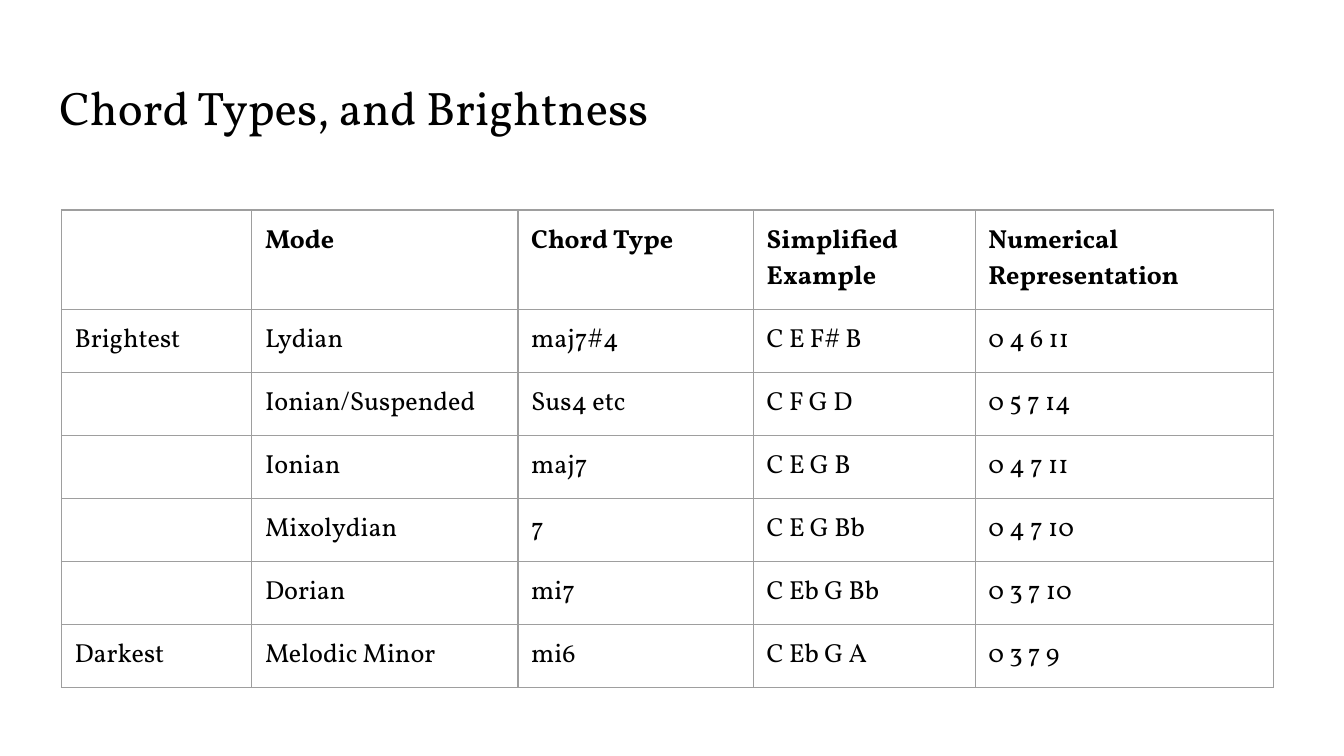
from dataclasses import dataclass

from lxml import etree
from pptx import Presentation
from pptx.dml.color import RGBColor
from pptx.enum import text as txt
from pptx.oxml import ns
from pptx.text.text import Font
from pptx.util import Cm, Pt


@dataclass(frozen=True)
class Theme:
    """Colours, font and sizes of the deck."""
    font: str = "Vollkorn"
    ink: str = "000000"
    grid: str = "9E9E9E"
    title_size: float = 25.2
    cell_size: float = 14
    grid_width: float = 0.75
    inset: float = 0.25


THEME = Theme()
HEADINGS = ["", "Mode", "Chord Type", "Simplified Example", "Numerical Representation"]
CHORDS = [
    ["Brightest", "Lydian", "maj7#4", "C E F# B", "0 4 6 11"],
    ["", "Ionian/Suspended", "Sus4 etc", "C F G D", "0 5 7 14"],
    ["", "Ionian", "maj7", "C E G B", "0 4 7 11"],
    ["", "Mixolydian", "7", "C E G Bb", "0 4 7 10"],
    ["", "Dorian", "mi7", "C Eb G Bb", "0 3 7 10"],
    ["Darkest", "Melodic Minor", "mi6", "C Eb G A", "0 3 7 9"],
]
COLUMN_WIDTHS = [3.6, 5.03, 4.45, 4.19, 5.64]
HEADER_HEIGHT, ROW_HEIGHT = 1.7, 1.09


def write(frame, wording, *, size, bold=False, color=THEME.ink):
    """Put formatted left-aligned wording in a text frame, sizing it even when empty."""
    paragraph = frame.paragraphs[0]
    paragraph.alignment = txt.PP_ALIGN.LEFT
    if wording:
        run = paragraph.add_run()
        run.text = wording
        font = run.font
    else:
        font = Font(paragraph._p.get_or_add_endParaRPr())
    font.name, font.size, font.bold = THEME.font, Pt(size), bold
    font.color.rgb = RGBColor.from_string(color)


def set_insets(holder):
    """Give a cell or text frame the same inset on every side."""
    holder.margin_left = holder.margin_right = Cm(THEME.inset)
    holder.margin_top = holder.margin_bottom = Cm(THEME.inset)


def outline_cell(cell):
    """Draw the grid line on all four sides of a cell."""
    properties = cell._tc.get_or_add_tcPr()
    for position, side in enumerate(("lnL", "lnR", "lnT", "lnB")):
        line = etree.Element(ns.qn(f"a:{side}"), w=str(Pt(THEME.grid_width)))
        fill = etree.SubElement(line, ns.qn("a:solidFill"))
        etree.SubElement(fill, ns.qn("a:srgbClr"), val=THEME.grid)
        properties.insert(position, line)


def place_title(slide, left, top, width, height):
    """Move the title placeholder to its box and fill it."""
    title = slide.shapes.title
    title.left, title.top, title.width, title.height = map(Cm, (left, top, width, height))
    frame = title.text_frame
    frame.word_wrap = True
    frame.auto_size = txt.MSO_AUTO_SIZE.NONE
    frame.vertical_anchor = txt.MSO_ANCHOR.TOP
    set_insets(frame)
    write(frame, "Chord Types, and Brightness", size=THEME.title_size)


def place_chord_table(slide, left, top, width, height):
    """Build the chord table, sharing the box by the column and row proportions."""
    rows = [HEADINGS, *CHORDS]
    table = slide.shapes.add_table(
        len(rows), len(HEADINGS), Cm(left), Cm(top), Cm(width), Cm(height)).table
    table.horz_banding = False
    for column, share in zip(table.columns, COLUMN_WIDTHS):
        column.width = Cm(width * share / sum(COLUMN_WIDTHS))
    row_heights = [HEADER_HEIGHT] + [ROW_HEIGHT] * len(CHORDS)
    for row, share in zip(table.rows, row_heights):
        row.height = Cm(height * share / sum(row_heights))
    for row_index, entries in enumerate(rows):
        for column_index, entry in enumerate(entries):
            cell = table.cell(row_index, column_index)
            cell.fill.background()
            set_insets(cell)
            outline_cell(cell)
            write(cell.text_frame, entry, size=THEME.cell_size, bold=row_index == 0)


def main():
    """Build and save the one-slide deck."""
    deck = Presentation()
    deck.slide_width, deck.slide_height = Cm(25.4), Cm(14.29)
    slide = deck.slides.add_slide(deck.slide_layouts[5])
    place_title(slide, 0.87, 1.24, 23.67, 1.6)
    place_chord_table(slide, 1.16, 3.97, sum(COLUMN_WIDTHS),
                      HEADER_HEIGHT + ROW_HEIGHT * len(CHORDS))
    deck.save("out.pptx")


if __name__ == "__main__":
    main()
